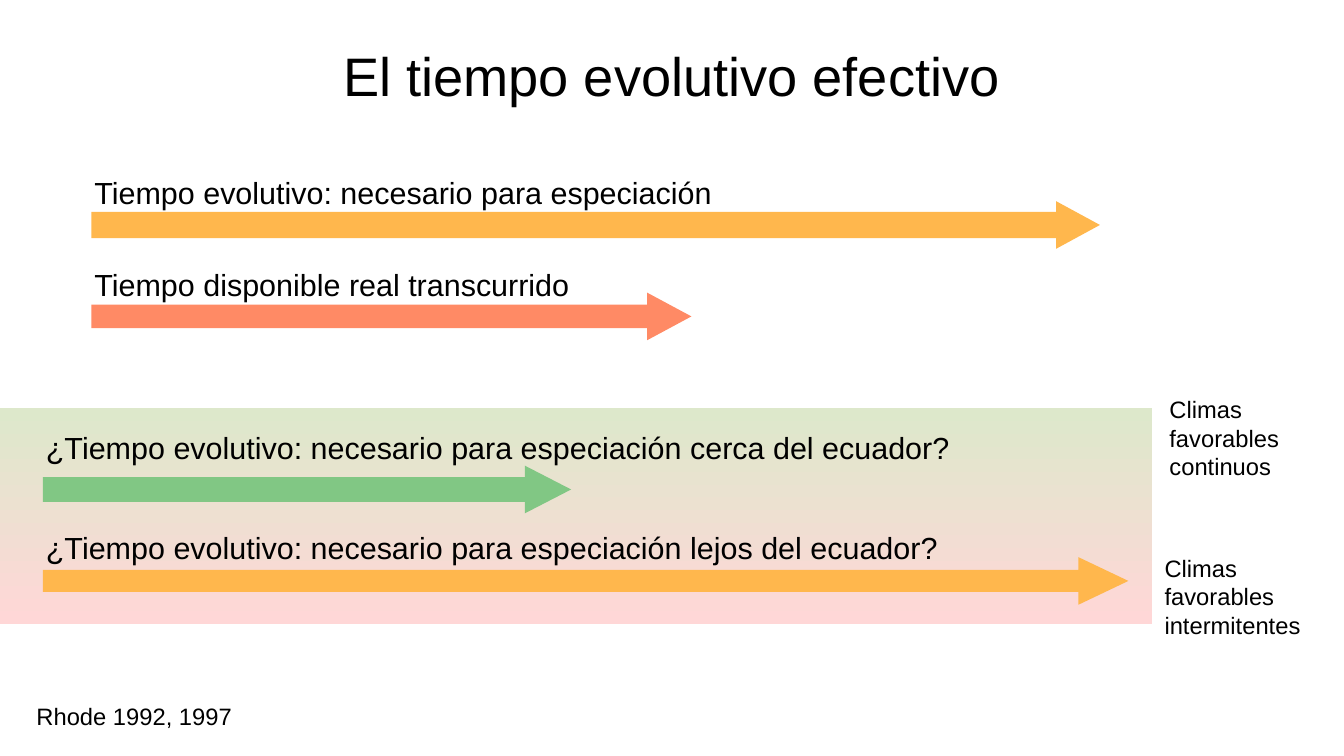
from pptx import Presentation
from pptx.dml import color
from pptx.enum import shapes, text
from pptx.util import Pt

BLACK = color.RGBColor(0x00, 0x00, 0x00)
AMBER = color.RGBColor(0xFF, 0xB7, 0x4D)
CORAL = color.RGBColor(0xFF, 0x8A, 0x65)
GREEN = color.RGBColor(0x81, 0xC7, 0x84)
PALE_GREEN = color.RGBColor(0xDD, 0xE8, 0xCB)
PALE_PINK = color.RGBColor(0xFF, 0xD7, 0xD7)


class TimeSlide:
    """Hold the text style and current slide, and draw its elements in points."""

    font_name = "Arial"
    arrow_height = 28.1

    def __init__(self, slide):
        self.slide = slide

    def label(self, wording, left, top, width, height, size=18,
              align=text.PP_ALIGN.LEFT, **frame_format):
        frame = self.slide.shapes.add_textbox(
            Pt(left), Pt(top), Pt(width), Pt(height)).text_frame
        for key, value in {"word_wrap": True, **frame_format}.items():
            setattr(frame, key, value)
        line = frame.paragraphs[0]
        line.text = wording
        line.alignment = align
        font = line.runs[0].font
        for key, value in {"name": self.font_name, "size": Pt(size)}.items():
            setattr(font, key, value)
        font.color.rgb = BLACK

    def title(self, wording, left, top, width, height):
        margins = dict.fromkeys(
            ("margin_left", "margin_top", "margin_right", "margin_bottom"), 0)
        self.label(wording, left, top, width, height, 32, text.PP_ALIGN.CENTER,
                   vertical_anchor=text.MSO_ANCHOR.MIDDLE, **margins)

    def outline(self, kind, left, top, width, height):
        outline = self.slide.shapes.add_shape(
            kind, Pt(left), Pt(top), Pt(width), Pt(height))
        outline.shadow.inherit = False
        outline.line.fill.background()
        return outline

    def arrow(self, left, top, width, shaft, head, tint):
        arrow = self.outline(shapes.MSO_SHAPE.RIGHT_ARROW,
                             left, top, width, self.arrow_height)
        arrow.adjustments[0] = shaft
        arrow.adjustments[1] = head
        arrow.fill.solid()
        arrow.fill.fore_color.rgb = tint

    def band(self, left, top, width, height, tints):
        fill = self.outline(shapes.MSO_SHAPE.RECTANGLE,
                            left, top, width, height).fill
        fill.gradient()
        fill.gradient_angle = 270
        for position, (stop, tint) in enumerate(zip(fill.gradient_stops, tints)):
            stop.position = position
            stop.color.rgb = tint


def main():
    deck = Presentation()
    deck.slide_width, deck.slide_height = Pt(793.44), Pt(446.4)
    page = TimeSlide(deck.slides.add_slide(deck.slide_layouts[6]))

    page.band(0, 241.2, 680.4, 127.4, (PALE_GREEN, PALE_PINK))
    page.title("El tiempo evolutivo efectivo", 39.6, 6.5, 714.2, 74.9)

    spans = [
        ("Tiempo evolutivo: necesario para especiación",
         54, 99.4, 118.8, 595.4, 0.55, 0.92, AMBER),
        ("Tiempo disponible real transcurrido",
         54, 153.4, 172.8, 354.2, 0.49, 0.93, CORAL),
        ("¿Tiempo evolutivo: necesario para especiación cerca del ecuador?",
         25.4, 249.5, 275, 311.8, 0.52, 0.97, GREEN),
        ("¿Tiempo evolutivo: necesario para especiación lejos del ecuador?",
         25.4, 308.9, 329, 640.8, 0.46, 1.05, AMBER),
    ]
    for wording, left, label_top, arrow_top, length, shaft, head, tint in spans:
        page.arrow(left, arrow_top, length, shaft, head, tint)
        page.label(wording, left - 5.4, label_top, 575, 27.4)

    notes = [
        ("Climas favorables continuos", 683.3, 229.7, 99.4, 54),
        ("Climas favorables intermitentes", 680.4, 323.3, 99.4, 54),
        ("Rhode 1992, 1997", 14.4, 411.1, 241.2, 23),
    ]
    for note in notes:
        page.label(*note, size=14)

    deck.save("out.pptx")


if __name__ == "__main__":
    main()
